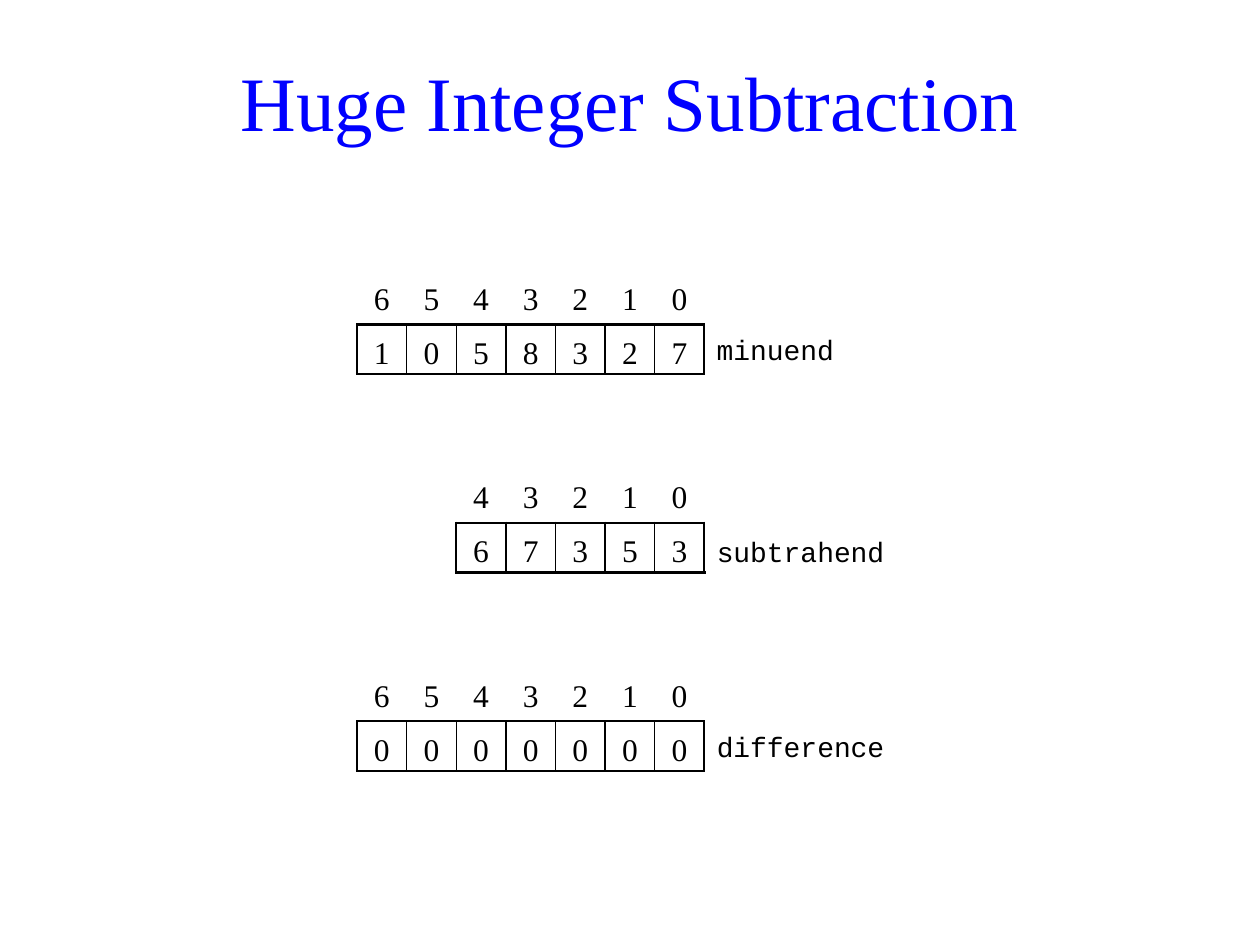
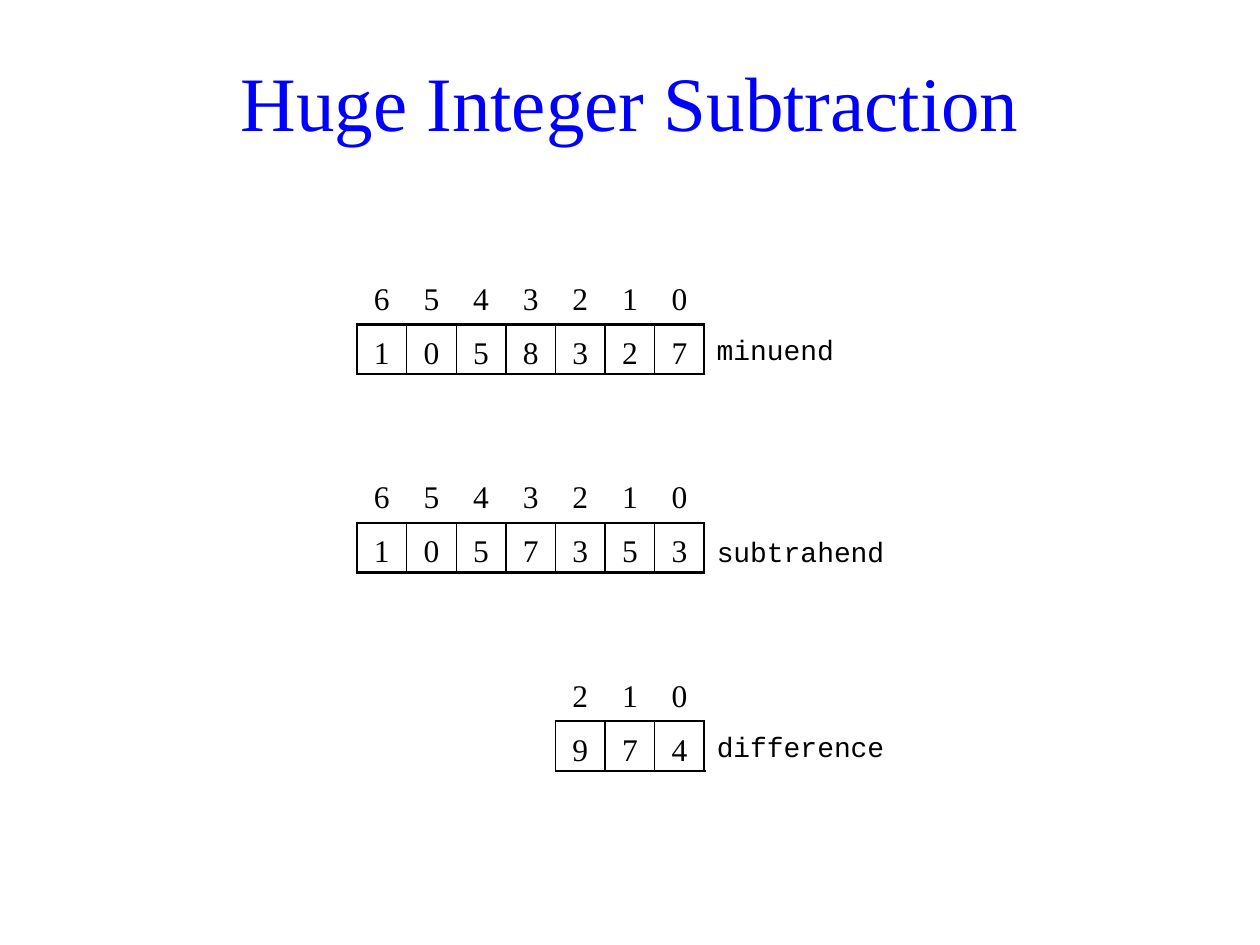
import pptx
import pptx.util
import pptx.dml.color
import pptx.enum.text
import lxml.etree
from dataclasses import dataclass

Pt = pptx.util.Pt
RGB = pptx.dml.color.RGBColor
CENTER = pptx.enum.text.PP_ALIGN.CENTER
LEFT = pptx.enum.text.PP_ALIGN.LEFT
MIDDLE = pptx.enum.text.MSO_ANCHOR.MIDDLE
NS = "http://schemas.openxmlformats.org/drawingml/2006/main"


@dataclass(frozen=True)
class Theme:
    serif: str = "Times New Roman"
    mono: str = "Courier New"
    blue: str = "0000FF"
    black: str = "000000"
    title_size: int = 44
    digit_size: int = 18
    label_size: int = 16
    thick: float = 1.5
    thin: float = 1


theme = Theme()
cell_size = 28.35
right_edge = 402.5
first_top = 157
table_step = 4 * cell_size


def write(tf, text, font, size, color, align, spacing):
    p = tf.paragraphs[0]
    p.alignment = align
    p.line_spacing = spacing
    r = p.add_run()
    r.text = text
    r.font.name = font
    r.font.size = Pt(size)
    r.font.bold = False
    r.font.color.rgb = RGB.from_string(color)


def set_borders(cell, widths):
    tc_pr = cell._tc.get_or_add_tcPr()
    for i, (side, width) in enumerate(widths):
        ln = lxml.etree.Element(f"{{{NS}}}ln{side}", w=str(int(Pt(width))))
        fill = lxml.etree.SubElement(ln, f"{{{NS}}}solidFill")
        lxml.etree.SubElement(fill, f"{{{NS}}}srgbClr", val=theme.black)
        tc_pr.insert(i, ln)


labels = [("minuend", 3, 1.0), ("subtrahend", 4, 1.25), ("difference", 4, 1.0)]
slides = [
    (theme.thick, ["1058327", "67353", "0000000"]),
    (theme.thin, ["1058327", "1057353", "974"]),
]

prs = pptx.Presentation()
prs.slide_width = Pt(720)
prs.slide_height = Pt(540)

for left_border, numbers in slides:
    s = prs.slides.add_slide(prs.slide_layouts[6])
    tf = s.shapes.add_textbox(Pt(34), Pt(15), Pt(652), Pt(85)).text_frame
    tf.word_wrap = True
    tf.vertical_anchor = MIDDLE
    write(tf, "Huge Integer Subtraction", theme.serif, theme.title_size, theme.blue, CENTER, 1.0)

    for i, (digits, (label, label_cells, label_spacing)) in enumerate(zip(numbers, labels)):
        n = len(digits)
        top = first_top + i * table_step
        table = s.shapes.add_table(
            2, n, Pt(right_edge - n * cell_size), Pt(top), Pt(n * cell_size), Pt(2 * cell_size)
        ).table
        table.first_row = False
        table.horz_banding = False
        for row in table.rows:
            row.height = Pt(cell_size)
        for col, digit in enumerate(digits):
            table.columns[col].width = Pt(cell_size)
            index_cell, digit_cell = table.cell(0, col), table.cell(1, col)
            for cell, text, spacing in [(index_cell, str(n - 1 - col), 1.0), (digit_cell, digit, 1.25)]:
                cell.fill.background()
                cell.vertical_anchor = MIDDLE
                cell.margin_left = cell.margin_right = cell.margin_top = cell.margin_bottom = 0
                write(cell.text_frame, text, theme.serif, theme.digit_size, theme.black, CENTER, spacing)
            set_borders(index_cell, [("B", theme.thick)])
            set_borders(digit_cell, [
                ("L", left_border if col == 0 else theme.thin),
                ("R", theme.thick if col == n - 1 else theme.thin),
                ("T", theme.thick),
                ("B", theme.thick),
            ])

        tf = s.shapes.add_textbox(
            Pt(right_edge), Pt(top + cell_size), Pt(label_cells * cell_size), Pt(cell_size)
        ).text_frame
        tf.word_wrap = True
        tf.vertical_anchor = MIDDLE
        write(tf, label, theme.mono, theme.label_size, theme.black, LEFT, label_spacing)

prs.save("out.pptx")
